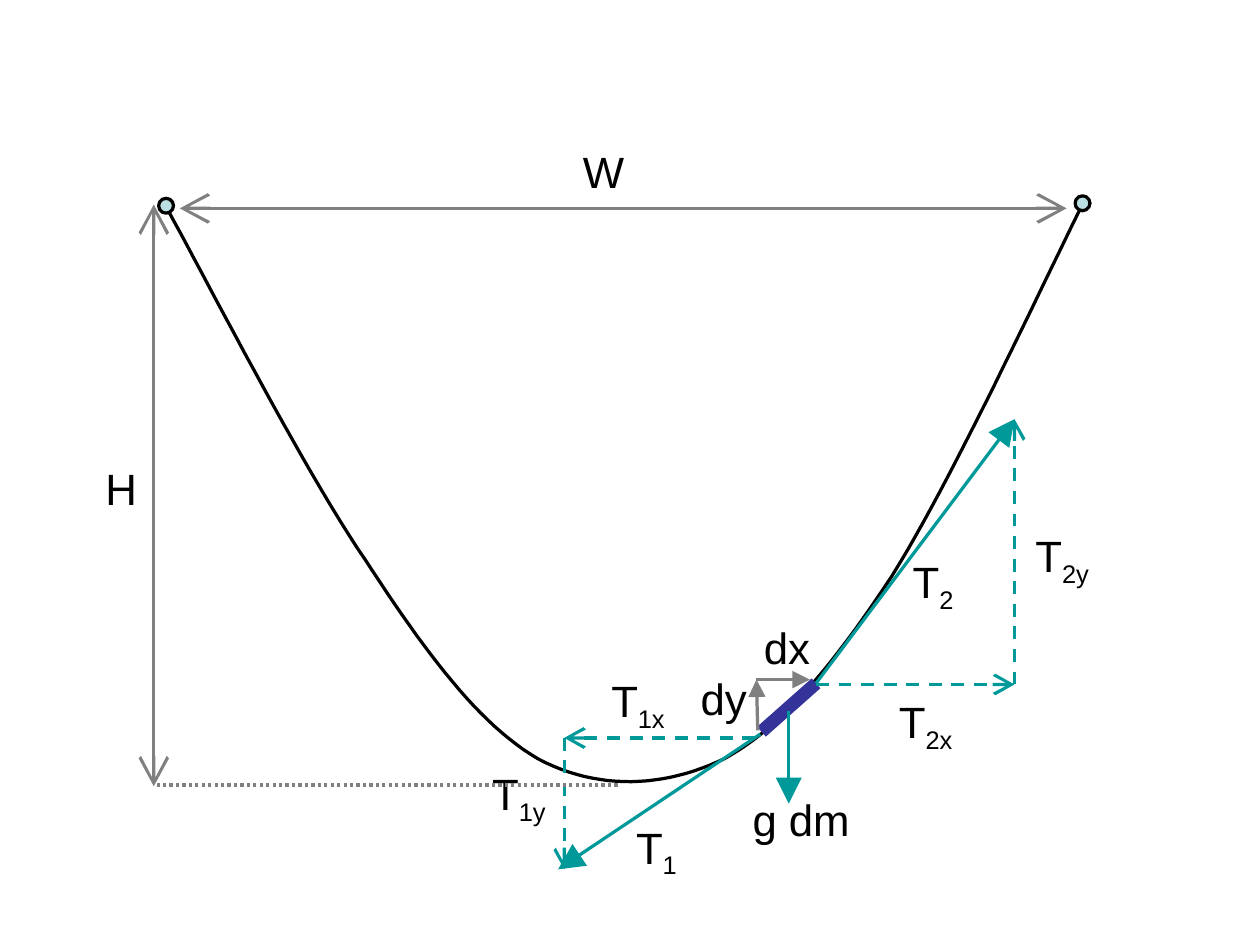
from lxml.etree import SubElement
from pptx import Presentation
from pptx.dml.color import RGBColor
from pptx.enum.dml import MSO_LINE
from pptx.enum.shapes import MSO_CONNECTOR, MSO_SHAPE
from pptx.enum.text import MSO_AUTO_SIZE
from pptx.oxml.ns import qn
from pptx.util import Cm, Pt

BLACK = RGBColor(0x00, 0x00, 0x00)
GREY = RGBColor(0x80, 0x80, 0x80)
TEAL = RGBColor(0x00, 0x99, 0x99)
NAVY = RGBColor(0x33, 0x33, 0x99)
PALE = RGBColor(0xBB, 0xE0, 0xE3)


def add_text(frame, text, font="Arial", size=10, color=BLACK, base=None):
    """Append one run of text; base shifts it as a percentage."""
    run = frame.paragraphs[0].add_run()
    run.text = text
    run.font.name = font
    run.font.size = Pt(size)
    run.font.color.rgb = color
    if base is not None:
        run.font._element.set("baseline", str(base * 1000))


def bezier(a, b, c, d, steps=24):
    """Points along a cubic curve, without its start."""
    for i in range(1, steps + 1):
        t = i / steps
        u = 1 - t
        yield tuple(u**3 * p + 3 * u * u * t * q + 3 * u * t * t * r + t**3 * s
                    for p, q, r, s in zip(a, b, c, d))


class Sketch:
    width = Pt(0.75)

    def __init__(self, slide):
        self.shapes = slide.shapes

    def line(self, start, end, color, width=width, dash=None,
             head=None, tail=None, size="med"):
        x1, y1, x2, y2 = map(Cm, (*start, *end))
        link = self.shapes.add_connector(MSO_CONNECTOR.STRAIGHT, x1, y1, x2, y2)
        link.line.color.rgb = color
        link.line.width = width
        if dash:
            link.line.dash_style = dash
        props = link._element.spPr
        for tag, kind in (("a:headEnd", head), ("a:tailEnd", tail)):
            if kind:
                SubElement(props.find(qn("a:ln")), qn(tag),
                           type=kind, w=size, len=size)
        SubElement(props, qn("a:effectLst"))

    def curve(self, start, parts):
        points = []
        last = start
        for part in parts:
            points += bezier(last, *part)
            last = part[-1]
        build = self.shapes.build_freeform(*map(Cm, start))
        build.add_line_segments([(Cm(x), Cm(y)) for x, y in points], close=False)
        shape = build.convert_to_shape()
        shape.fill.background()
        self.outline(shape)

    def pin(self, x, y, size=0.12):
        shape = self.shapes.add_shape(
            MSO_SHAPE.OVAL, Cm(x - size / 2), Cm(y - size / 2), Cm(size), Cm(size))
        shape.fill.solid()
        shape.fill.fore_color.rgb = PALE
        self.outline(shape)

    def outline(self, shape):
        shape.line.color.rgb = BLACK
        shape.line.width = self.width
        shape.shadow.inherit = False

    def label(self, x, y, width, text, sub=None):
        box = self.shapes.add_textbox(Cm(x), Cm(y), Cm(width),
                                      Cm(0.74 if sub else 0.69))
        frame = box.text_frame
        frame.word_wrap = False
        frame.auto_size = MSO_AUTO_SIZE.SHAPE_TO_FIT_TEXT
        add_text(frame, text)
        if sub:
            add_text(frame, sub, base=-25)


def main():
    deck = Presentation()
    deck.slide_width, deck.slide_height = Cm(10.16), Cm(7.62)
    art = Sketch(deck.slides.add_slide(deck.slide_layouts[6]))

    # Hanging chain and its right pin
    art.curve((1.33, 1.65), [
        ((1.6, 2.13), (2.44, 3.78), (2.95, 4.52)),
        ((3.43, 5.26), (3.86, 5.84), (4.34, 6.12)),
        ((4.83, 6.38), (5.36, 6.35), (5.84, 6.12)),
        ((6.3, 5.87), (6.71, 5.38), (7.19, 4.65)),
        ((7.67, 3.89), (8.41, 2.29), (8.73, 1.65)),
    ])
    art.pin(8.73, 1.64)

    # Chain element with its steps
    low, high = (6.14, 5.9), (6.58, 5.51)
    corner = (6.1, 5.48)
    art.line(low, high, NAVY, width=Pt(3))
    for start, end in ((corner, (6.53, 5.48)), ((6.11, 5.89), corner)):
        art.line(start, end, GREY, tail="triangle", size="sm")

    # Tensions and weight
    for start, end in ((high, (8.18, 3.38)), ((6.13, 5.92), (4.5, 7.01)),
                       ((6.36, 5.73), (6.36, 6.48))):
        art.line(start, end, TEAL, tail="triangle")

    # Tension components
    right, left = (8.18, 5.52), (4.55, 5.95)
    for start, end, mark in (((6.58, 5.52), right, "tail"),
                             (left, (6.14, 5.95), "head"),
                             (right, (8.18, 3.38), "tail"),
                             (left, (4.55, 7.01), "tail")):
        art.line(start, end, TEAL, dash=MSO_LINE.DASH, size="sm",
                 **{mark: "arrow"})

    # Labels
    for item in ((5.91, 4.88, 0.94, "dx"),
                 (5.4, 5.29, 0.94, "dy"),
                 (4.88, 6.49, 0.84, "T", "1"),
                 (7.11, 4.35, 0.84, "T", "2"),
                 (7, 5.48, 0.94, "T", "2x"),
                 (8.1, 4.14, 0.94, "T", "2y"),
                 (4.68, 5.31, 0.94, "T", "1x"),
                 (3.72, 6.06, 0.94, "T", "1y"),
                 (5.82, 6.27, 1.3, "g dm"),
                 (4.45, 1.04, 0.84, "W"),
                 (0.6, 3.6, 0.76, "H")):
        art.label(*item)

    # Width, height and lowest level
    for start, end in (((1.45, 1.68), (8.6, 1.68)), ((1.24, 1.65), (1.24, 6.34))):
        art.line(start, end, GREY, head="arrow", tail="arrow")
    art.line((4.98, 6.33), (1.24, 6.33), GREY, dash=MSO_LINE.ROUND_DOT)
    art.pin(1.34, 1.66)

    deck.save("out.pptx")


if __name__ == "__main__":
    main()
